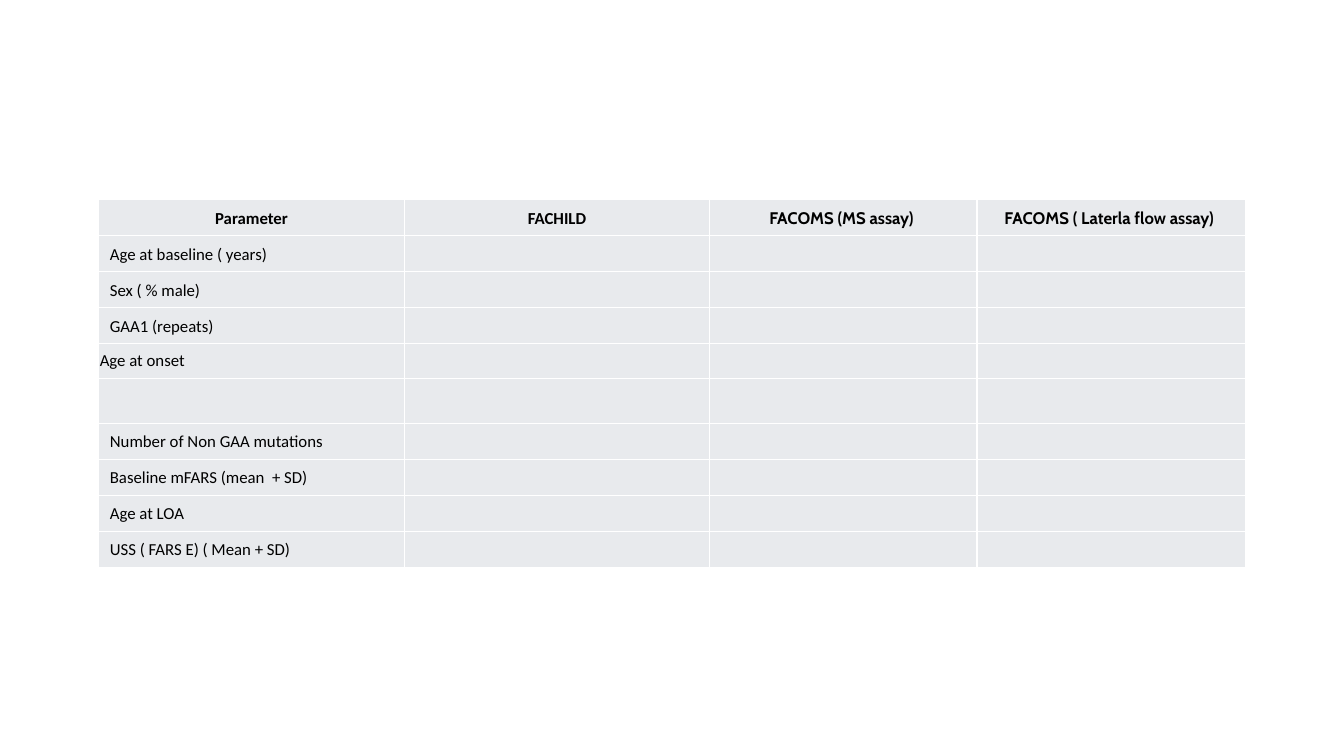
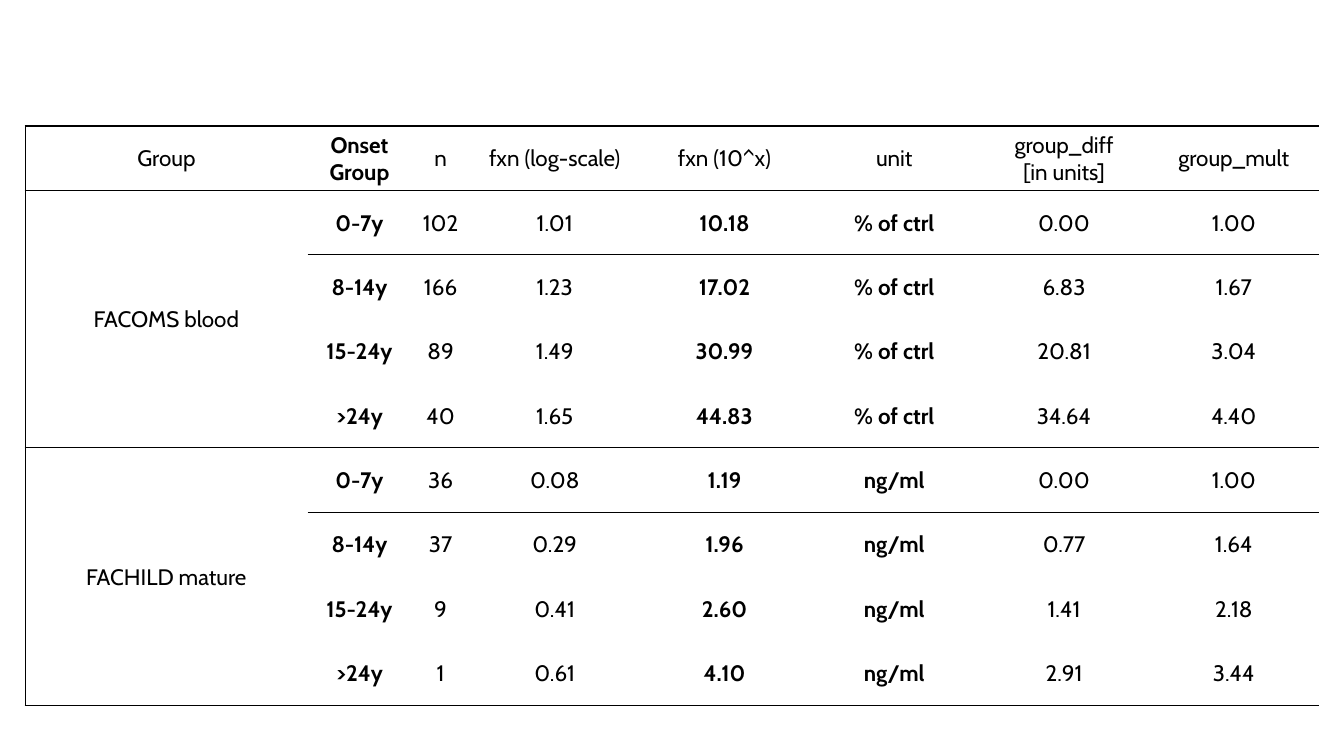
from lxml import etree
from pptx import Presentation
from pptx.dml.color import RGBColor
from pptx.enum.text import MSO_ANCHOR, PP_ALIGN
from pptx.oxml.ns import qn
from pptx.util import Inches, Pt

CENTER, LEFT = PP_ALIGN.CENTER, PP_ALIGN.LEFT
MIDDLE = MSO_ANCHOR.MIDDLE

BLACK = RGBColor(0x00, 0x00, 0x00)
WHITE = RGBColor(0xFF, 0xFF, 0xFF)
PALE_GREY = RGBColor(0xE8, 0xEA, 0xED)

CABIN, CALIBRI = "Cabin", "Calibri"
BLANK_LAYOUT = 6
NO_STYLE_NO_GRID = "{2D5ABB26-0587-4C30-8999-92F81FD0307C}"
BORDER_TAGS = {"left": "a:lnL", "right": "a:lnR", "top": "a:lnT", "bottom": "a:lnB"}

PARAMETER_HEADERS = [
    ("Parameter", CALIBRI),
    ("FACHILD", CALIBRI),
    ("FACOMS (MS assay) ", CABIN),
    ("FACOMS ( Laterla flow assay) ", CABIN),
]
PARAMETERS = [
    "Age at baseline ( years)",
    "Sex ( % male)",
    "GAA1 (repeats)",
    "Age at onset",
    "",
    "Number of Non GAA mutations",
    "Baseline mFARS (mean  + SD)",
    "Age at LOA",
    "USS ( FARS E) ( Mean + SD)",
]
UNINDENTED = "Age at onset"

GROUP_HEADERS = ["Group", "Onset Group", "n", "fxn (log-scale)", "fxn (10^x)",
                 "unit", "group_diff\n[in units]", "group_mult"]
ONSETS = ["0-7y", "8-14y", "15-24y", ">24y"]
# Each group: name, unit, then rows of n, log value, value, difference, multiple
GROUPS = [
    ("FACOMS blood", "% of ctrl", [
        ("102", "1.01", "10.18", "0.00", "1.00"),
        ("166", "1.23", "17.02", "6.83", "1.67"),
        ("89", "1.49", "30.99", "20.81", "3.04"),
        ("40", "1.65", "44.83", "34.64", "4.40"),
    ]),
    ("FACHILD mature", "ng/ml", [
        ("36", "0.08", "1.19", "0.00", "1.00"),
        ("37", "0.29", "1.96", "0.77", "1.64"),
        ("9", "0.41", "2.60", "1.41", "2.18"),
        ("1", "0.61", "4.10", "2.91", "3.44"),
    ]),
]
BOLD_COLUMNS = (1, 4, 5)


def add_plain_table(page, left, top, widths, heights):
    """Add an unstyled table; all lengths are in inches."""
    frame = page.shapes.add_table(len(heights), len(widths), Inches(left), Inches(top),
                                  Inches(sum(widths)), Inches(sum(heights)))
    table = frame.table
    table.first_row = table.horz_banding = False
    table._tbl.tblPr.find(qn("a:tableStyleId")).text = NO_STYLE_NO_GRID
    for column, width in zip(table.columns, widths):
        column.width = Inches(width)
    for row, height in zip(table.rows, heights):
        row.height = Inches(height)
    return table


def style_cell(cell, sides, line_color, fill_color=None):
    """Draw one-point borders on the named sides, then the fill."""
    properties = cell._tc.get_or_add_tcPr()
    for side, tag in BORDER_TAGS.items():
        if side in sides:
            line = etree.SubElement(properties, qn(tag), w=str(Pt(1)))
            fill = etree.SubElement(line, qn("a:solidFill"))
            etree.SubElement(fill, qn("a:srgbClr"), val=str(line_color))
    if fill_color is None:
        cell.fill.background()
    else:
        cell.fill.solid()
        cell.fill.fore_color.rgb = fill_color


def set_margins(cell, side, top, bottom):
    cell.margin_left = cell.margin_right = Inches(side)
    cell.margin_top, cell.margin_bottom = Inches(top), Inches(bottom)
    cell.vertical_anchor = MIDDLE


def write_cell(cell, text, font, size, bold=False, align=CENTER, spacing=None, indent=0):
    frame = cell.text_frame
    for index, line in enumerate(text.split("\n")):
        para = frame.add_paragraph() if index else frame.paragraphs[0]
        para.alignment = align
        para.line_spacing = spacing
        if indent:
            para._p.get_or_add_pPr().set("marL", str(Inches(indent)))
        if not line:
            etree.SubElement(para._p, qn("a:endParaRPr"), sz=str(size * 100))
            continue
        span = para.add_run()
        span.text = line
        span.font.name, span.font.size, span.font.bold = font, Pt(size), bold
        span.font.color.rgb = BLACK


def add_parameter_table(page):
    heights = [0.34] + [0.34 if name else 0.45 for name in PARAMETERS]
    table = add_plain_table(page, 0.98, 1.98, [3.03, 3.03, 2.65, 2.66], heights)
    for cell in table.iter_cells():
        style_cell(cell, BORDER_TAGS, WHITE, PALE_GREY)
        set_margins(cell, 0.01, 0.07, 0.07)
    for column, (text, font) in enumerate(PARAMETER_HEADERS):
        write_cell(table.cell(0, column), text, font, 12, bold=True, spacing=1.07)
    for row, name in enumerate(PARAMETERS, start=1):
        layout = {} if name == UNINDENTED else {"spacing": 1.07, "indent": 0.1}
        write_cell(table.cell(row, 0), name, CALIBRI, 12, align=LEFT, **layout)
        for column in range(1, len(PARAMETER_HEADERS)):
            write_cell(table.cell(row, column), "", CALIBRI, 12)


def add_group_table(page):
    row_count = 1 + len(GROUPS) * len(ONSETS)
    first_widths = [2.8, 1.03, 0.58]
    value_columns = len(GROUP_HEADERS) - len(first_widths)
    value_width = (12.83 - sum(first_widths)) / value_columns
    table = add_plain_table(page, 0.25, 1.25, first_widths + [value_width] * value_columns,
                            [5.75 / row_count] * row_count)

    for row in range(row_count):
        for column in range(len(GROUP_HEADERS)):
            sides = set()
            if column == 0:
                sides.add("left")
            if row == 0 or row % len(ONSETS) == 1:
                sides.add("top")
            if row % len(ONSETS) == 0 or (column == 0 and "top" in sides):
                sides.add("bottom")
            cell = table.cell(row, column)
            style_cell(cell, sides, BLACK)
            set_margins(cell, 0.01, 0.01, 0)

    for column, text in enumerate(GROUP_HEADERS):
        write_cell(table.cell(0, column), text, CABIN, 16, bold=column == 1)
    for index, (name, unit, values) in enumerate(GROUPS):
        first = 1 + index * len(ONSETS)
        group_cell = table.cell(first, 0)
        group_cell.merge(table.cell(first + len(ONSETS) - 1, 0))
        write_cell(group_cell, name, CABIN, 16)
        for row, (onset, numbers) in enumerate(zip(ONSETS, values), start=first):
            texts = [onset, *numbers[:3], unit, *numbers[3:]]
            for column, text in enumerate(texts, start=1):
                write_cell(table.cell(row, column), text, CABIN, 16,
                           bold=column in BOLD_COLUMNS)


def main():
    deck = Presentation()
    deck.slide_width, deck.slide_height = Inches(13.33), Inches(7.5)
    for add_content in (add_parameter_table, add_group_table):
        add_content(deck.slides.add_slide(deck.slide_layouts[BLANK_LAYOUT]))
    deck.save("out.pptx")


if __name__ == "__main__":
    main()
